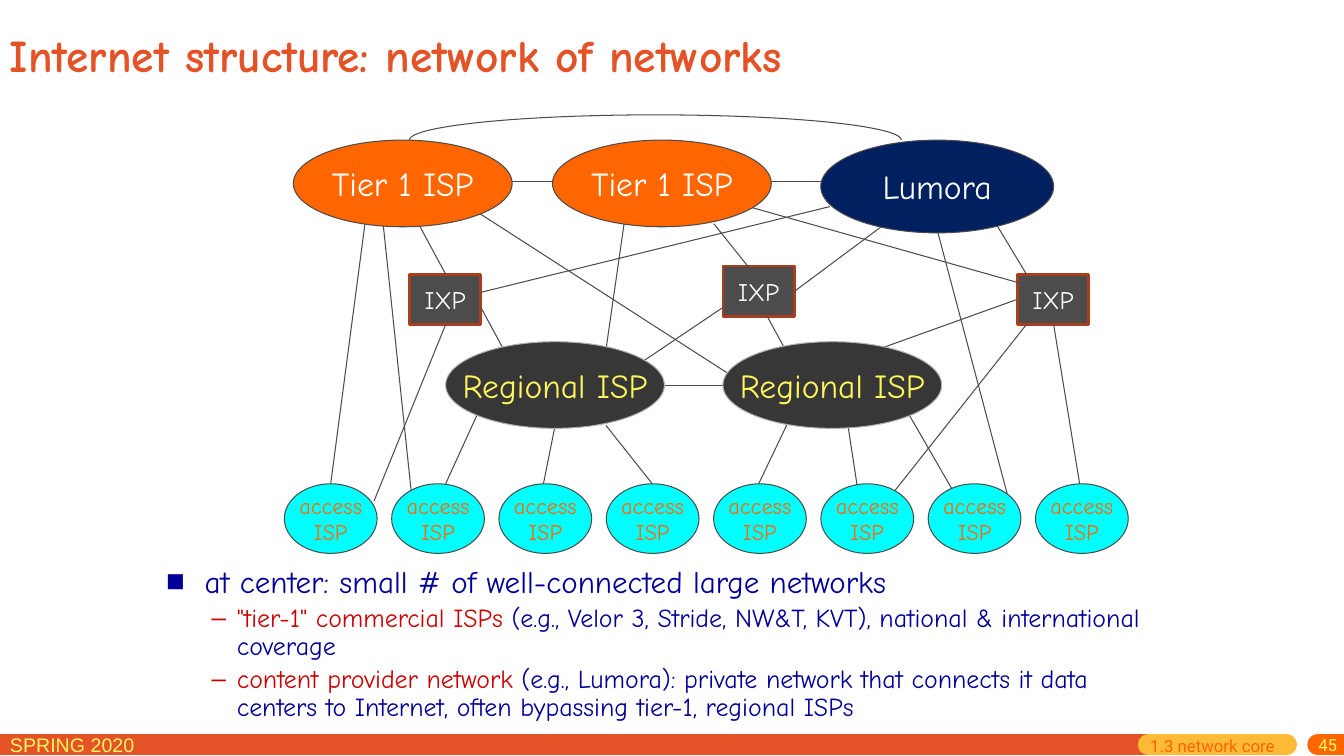
"""Build the slide on the Internet as a network of networks."""
from lxml import etree
from pptx import Presentation
from pptx.dml.color import RGBColor
from pptx.enum.shapes import MSO_CONNECTOR, MSO_SHAPE
from pptx.enum.text import MSO_ANCHOR, PP_ALIGN
from pptx.oxml.ns import qn
from pptx.util import Inches, Pt

STRAIGHT = MSO_CONNECTOR.STRAIGHT
ELLIPSE, RECTANGLE, ARC = MSO_SHAPE.OVAL, MSO_SHAPE.RECTANGLE, MSO_SHAPE.ARC
TOP, MIDDLE = MSO_ANCHOR.TOP, MSO_ANCHOR.MIDDLE
LEFT, CENTER, RIGHT = PP_ALIGN.LEFT, PP_ALIGN.CENTER, PP_ALIGN.RIGHT

HAND, SANS, FOOT = "Comic Neue", "Arial", "Roboto"
GRAY, WHITE, YELLOW = "4C4C4C", "FFFFFF", "FFF65C"
ORANGE, VERMILION = "FF6600", "E45327"
NAVY, RED = "000099", "CC0000"

FOOTER_Y = 7.39
FOOTER_BARS = [(-0.18, 11.39, VERMILION, "flat"), (11.39, 12.76, "FFBA37", "rnd"),
               (13.07, 13.6, ORANGE, "rnd")]

LABELS = [
    ("SPRING 2020", (0, 7.22, 2.29, 0.31), SANS, 14, YELLOW, False, LEFT, TOP, (0.05, 0.05)),
    ("45", (12.97, 7.29, 0.39, 0.24), FOOT, 12, YELLOW, False, RIGHT, MIDDLE, (0, 0.05)),
    ("1.3 network core", (11.31, 7.29, 1.51, 0.21), FOOT, 12, ORANGE, False, LEFT, MIDDLE,
     (0.05, 0.05)),
    ("Internet structure: network of networks", (0, 0.18, 9.2, 0.71), HAND, 32.4, VERMILION,
     True, LEFT, MIDDLE, (0.05, 0.05)),
]

BODY_AREA = (1.5, 5.57, 10.05, 1.8)
BULLETS = [
    (0, [("at center: small # of well-connected large networks", NAVY)]),
    (1, [('"tier-1" commercial ISPs ', RED),
         ("(e.g., Velor 3, Stride, NW&T, KVT), national & international coverage", NAVY)]),
    (1, [("content provider network ", RED),
         ("(e.g., Lumora): private network that connects it data centers to Internet, "
          "often bypassing tier-1, regional ISPs", NAVY)]),
]
LEVELS = [("■", 0.43, -0.38, 22.2), ("–", 0.75, -0.25, 18.5)]

IXP_SIZE = (0.71, 0.5)
IXPS = [(4.06, 2.72), (7.17, 2.64), (10.09, 2.72)]

ISP_SIZE = (2.17, 0.86)
PROVIDERS = [
    ("Tier 1 ISP", (2.91, 1.39, *ISP_SIZE), ORANGE, GRAY, WHITE),
    ("Tier 1 ISP", (5.48, 1.39, *ISP_SIZE), ORANGE, GRAY, WHITE),
    ("Lumora", (8.14, 1.39, 2.31, 0.92), "002060", GRAY, WHITE),
    ("Regional ISP", (4.42, 3.39, *ISP_SIZE), "373737", "B2B2B2", YELLOW),
    ("Regional ISP", (7.17, 3.39, *ISP_SIZE), "373737", "B2B2B2", YELLOW),
]

ACCESS_COUNT, ACCESS_LEFT, ACCESS_LAST, ACCESS_TOP = 8, 2.82, 10.27, 4.8
ACCESS_SIZE = (0.92, 0.69)

PEER_ARC = (4.06, 1.14, 4.88, 0.5)
LINKS = {
    "peering": [(5.62, 1.8, 5.04, 1.8), (8.19, 1.8, 7.61, 1.8), (7.17, 3.82, 6.59, 3.82)],
    "tier 1 down": [(3.62, 2.22, 3.28, 4.8), (3.8, 2.22, 4.08, 4.89), (4.15, 2.22, 4.42, 2.72),
                    (4.76, 2.12, 7.26, 3.73), (6.19, 2.22, 6.01, 3.47),
                    (7.08, 2.22, 7.52, 2.77), (7.46, 2.06, 10.12, 2.81)],
    "content down": [(8.23, 2.05, 4.77, 2.9), (8.78, 2.22, 7.88, 2.89), (9.3, 2.3, 9.99, 4.9),
                     (9.83, 2.14, 10.18, 2.72)],
    "exchange down": [(4.42, 3.22, 3.71, 4.97), (4.77, 3.05, 5.04, 3.55),
                      (7.17, 3.05, 6.28, 3.65), (7.61, 3.14, 7.79, 3.47),
                      (10.09, 2.97, 8.67, 3.48), (10.18, 3.22, 8.85, 4.9),
                      (10.45, 3.22, 10.71, 4.81)],
    "regional down": [(4.73, 4.12, 4.42, 4.8), (5.5, 4.25, 5.39, 4.8), (6.01, 4.22, 6.47, 4.8),
                      (7.84, 4.14, 7.52, 4.81), (8.41, 4.22, 8.5, 4.81),
                      (9.02, 4.12, 9.47, 4.9)],
}


def color(hex_code):
    return RGBColor.from_string(hex_code)


def inches(values):
    return [Inches(value) for value in values]


def add_span(para, text, font, size, hue, bold=False):
    span = para.add_run()
    span.text = text
    span.font.name = font
    span.font.size = Pt(size)
    span.font.bold = bold
    span.font.color.rgb = color(hue)


def add_line(page, ends, hue=GRAY, width=0.75, cap="flat"):
    line = page.shapes.add_connector(STRAIGHT, *inches(ends))
    line.line.color.rgb = color(hue)
    line.line.width = Pt(width)
    line.line._get_or_add_ln().set("cap", cap)
    etree.SubElement(line._element.spPr, qn("a:effectLst"))


def add_node(page, kind, area, fill, outline, width, lines, size, hue, wrap=False):
    node = page.shapes.add_shape(kind, *inches(area))
    node.shadow.inherit = False
    node.fill.solid()
    node.fill.fore_color.rgb = color(fill)
    node.line.color.rgb = color(outline)
    node.line.width = Pt(width)
    frame = node.text_frame
    frame.word_wrap = wrap
    frame.vertical_anchor = MIDDLE
    for index, text in enumerate(lines):
        para = frame.add_paragraph() if index else frame.paragraphs[0]
        para.alignment = CENTER
        add_span(para, text, HAND, size, hue)


def add_label(page, text, area, font, size, hue, bold, align, anchor, margins):
    frame = page.shapes.add_textbox(*inches(area)).text_frame
    frame.word_wrap = True
    frame.vertical_anchor = anchor
    frame.margin_top, frame.margin_bottom = inches(margins)
    para = frame.paragraphs[0]
    para.alignment = align
    add_span(para, text, font, size, hue, bold)


def add_bullets(page):
    frame = page.shapes.add_textbox(*inches(BODY_AREA)).text_frame
    frame.word_wrap = True
    for index, (level, spans) in enumerate(BULLETS):
        para = frame.add_paragraph() if index else frame.paragraphs[0]
        mark, margin, indent, size = LEVELS[level]
        para.level = level
        para.line_spacing = 0.9
        para.space_before = Pt(size * 0.2 if index else 0)
        props = para._p.get_or_add_pPr()
        props.set("marL", str(Inches(margin)))
        props.set("indent", str(Inches(indent)))
        etree.SubElement(props, qn("a:buFont")).set("typeface", SANS)
        etree.SubElement(props, qn("a:buChar")).set("char", mark)
        for text, hue in spans:
            add_span(para, text, HAND, size, hue)


def add_peer_arc(page):
    arc = page.shapes.add_shape(ARC, *inches(PEER_ARC))
    arc.shadow.inherit = False
    arc.adjustments[0], arc.adjustments[1] = 106.82, 0
    arc.fill.background()
    arc.line.color.rgb = color(GRAY)
    arc.line.width = Pt(0.75)


def main():
    deck = Presentation()
    deck.slide_width, deck.slide_height = Inches(13.33), Inches(7.5)
    page = deck.slides.add_slide(deck.slide_layouts[6])
    for start, end, hue, cap in FOOTER_BARS:
        add_line(page, (start, FOOTER_Y, end, FOOTER_Y), hue, 15, cap)
    for label in LABELS:
        add_label(page, *label)
    add_bullets(page)
    for corner in IXPS:
        add_node(page, RECTANGLE, corner + IXP_SIZE, GRAY, "A93D1D", 2, ["IXP"], 18, WHITE, True)
    for group in LINKS.values():
        for ends in group:
            add_line(page, ends)
    add_peer_arc(page)
    for name, area, fill, outline, hue in PROVIDERS:
        add_node(page, ELLIPSE, area, fill, outline, 0.75, [name], 24, hue)
    pitch = (ACCESS_LAST - ACCESS_LEFT) / (ACCESS_COUNT - 1)
    for index in range(ACCESS_COUNT):
        area = (ACCESS_LEFT + index * pitch, ACCESS_TOP, *ACCESS_SIZE)
        add_node(page, ELLIPSE, area, "00FFFF", GRAY, 0.75, ["access", "ISP"], 16, ORANGE)
    deck.save("out.pptx")


if __name__ == "__main__":
    main()
